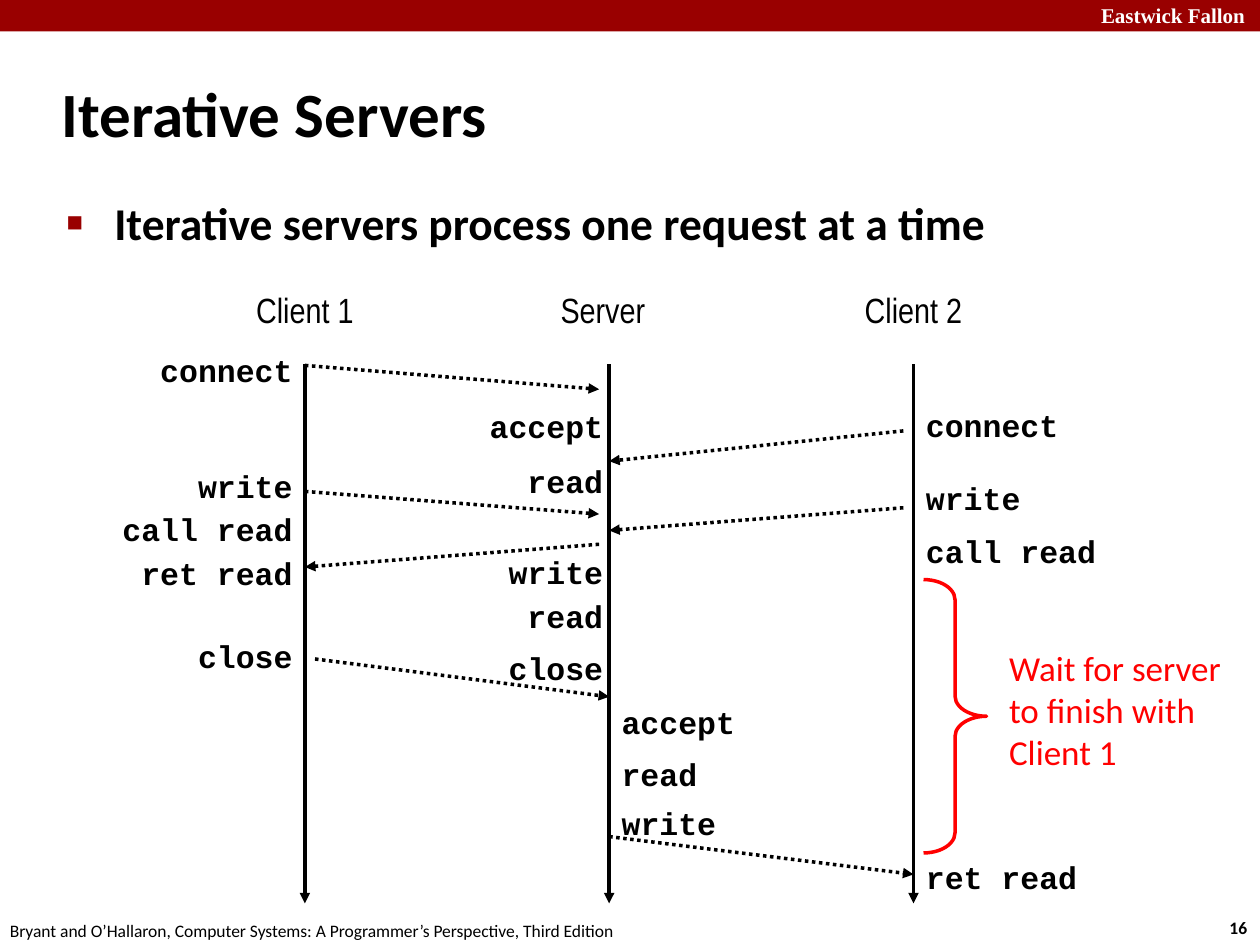
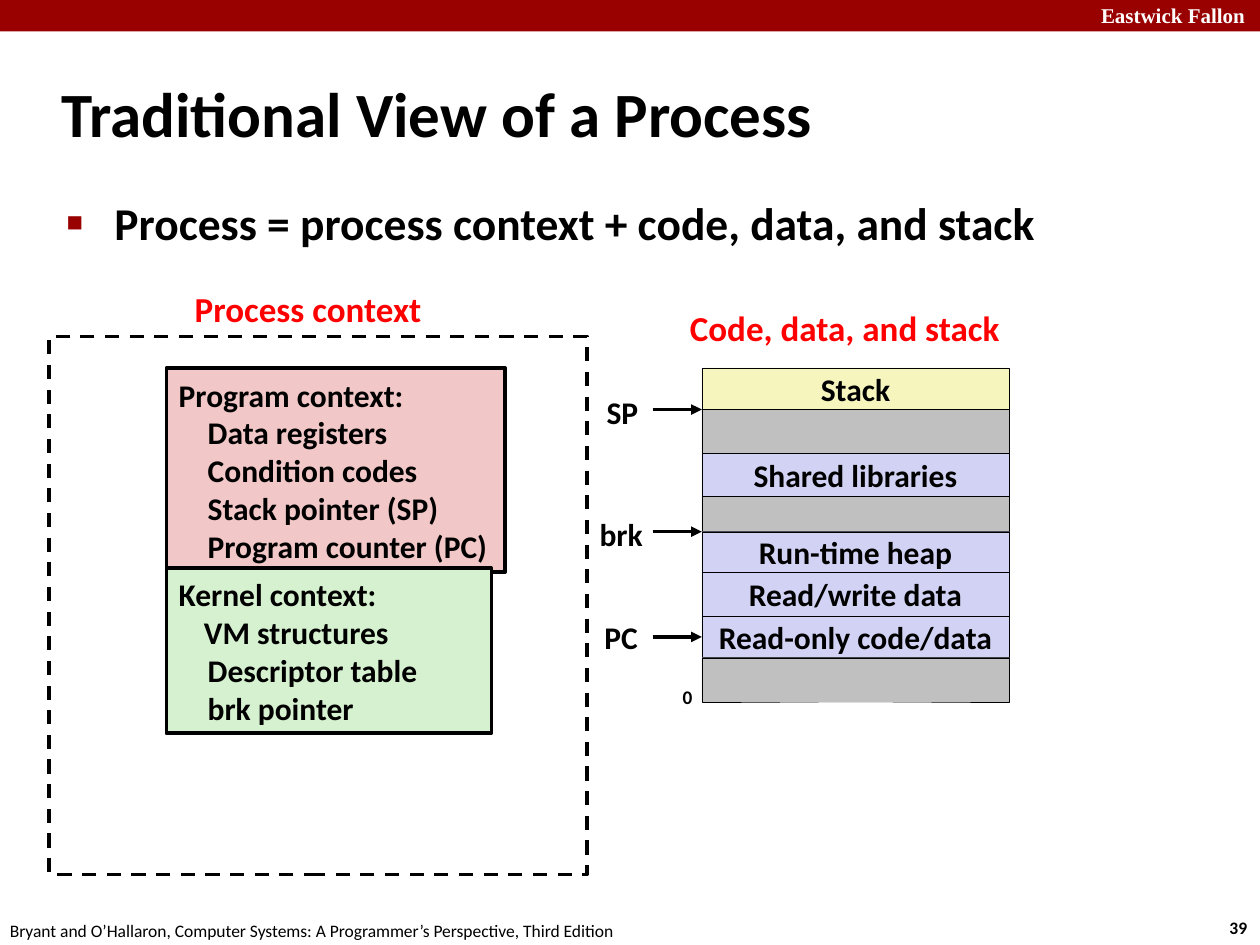
from dataclasses import dataclass
from itertools import accumulate

from lxml import etree
from pptx import Presentation
from pptx import util as u
from pptx.dml.color import RGBColor
from pptx.enum import dml, shapes, text
from pptx.oxml import ns

BLACK = RGBColor(0x00, 0x00, 0x00)
WHITE = RGBColor(0xFF, 0xFF, 0xFF)
CRIMSON = RGBColor(0x99, 0x00, 0x00)
RED = RGBColor(0xFF, 0x00, 0x00)
PINK = RGBColor(0xF1, 0xC7, 0xC7)
GREEN = RGBColor(0xD5, 0xF1, 0xCF)
YELLOW = RGBColor(0xF6, 0xF5, 0xBD)
LILAC = RGBColor(0xD2, 0xD2, 0xF4)
GRAY = RGBColor(0xC0, 0xC0, 0xC0)

LEFT, CENTER, RIGHT = text.PP_ALIGN.LEFT, text.PP_ALIGN.CENTER, text.PP_ALIGN.RIGHT
TOP, MIDDLE = text.MSO_ANCHOR.TOP, text.MSO_ANCHOR.MIDDLE
TITLE_ONLY = 5
SCHOOL = "Eastwick Fallon"
CITATION = "Bryant and O’Hallaron, Computer Systems: A Programmer’s Perspective, Third Edition"


@dataclass
class Box:
    """A rectangle in inches."""

    left: float
    top: float
    width: float
    height: float

    @property
    def right(self):
        """Return the right edge."""
        return self.left + self.width

    def inches(self):
        """Return the four lengths for python-pptx."""
        return [u.Inches(v) for v in (self.left, self.top, self.width, self.height)]


def write(shape, words, size, font="Calibri", color=BLACK, bold=False,
          align=LEFT, anchor=TOP, wrap=False):
    """Put words into a shape and format every run."""
    frame = shape.text_frame
    frame.text = words
    frame.word_wrap = wrap
    frame.vertical_anchor = anchor
    for paragraph in frame.paragraphs:
        paragraph.alignment = align
        for run in paragraph.runs:
            run.font.name = font
            run.font.size = u.Pt(size)
            run.font.bold = bold
            run.font.color.rgb = color
    return frame


def add_label(slide, box, words, size, **style):
    """Add a text box with formatted words."""
    return write(slide.shapes.add_textbox(*box.inches()), words, size, **style)


def indent(paragraph, margin, first=0.0):
    """Set the left margin and first-line indent of a paragraph."""
    properties = paragraph._p.get_or_add_pPr()
    properties.set("marL", str(u.Inches(margin)))
    properties.set("indent", str(u.Inches(first)))
    return properties


def add_block(slide, box, fill=None, line=BLACK, weight=2.0,
              kind=shapes.MSO_SHAPE.RECTANGLE):
    """Add a flat preset shape."""
    block = slide.shapes.add_shape(kind, *box.inches())
    block.shadow.inherit = False
    if fill is None:
        block.fill.background()
    else:
        block.fill.solid()
        block.fill.fore_color.rgb = fill
    if line is None:
        block.line.fill.background()
    else:
        block.line.color.rgb = line
        block.line.width = u.Pt(weight)
    return block


def add_arrow(slide, x1, y1, x2, y2, dash=None):
    """Add a black straight arrow between two points."""
    arrow = slide.shapes.add_connector(
        shapes.MSO_CONNECTOR.STRAIGHT, *[u.Inches(v) for v in (x1, y1, x2, y2)])
    arrow.line.color.rgb = BLACK
    arrow.line.width = u.Pt(2)
    if dash:
        arrow.line.dash_style = dash
    etree.SubElement(arrow.line._get_or_add_ln(), ns.qn("a:tailEnd"), type="triangle")
    etree.SubElement(arrow._element.spPr, ns.qn("a:effectLst"))
    return arrow


def add_page(deck, heading, statement, number):
    """Add a slide with its band, footer, title and bulleted statement."""
    slide = deck.slides.add_slide(deck.slide_layouts[TITLE_ONLY])
    add_block(slide, Box(0, 0, 10, 0.25), CRIMSON, None)
    add_label(slide, Box(8.64, -0.03, 1.43, 0.3), SCHOOL, 12,
              font="Times New Roman", color=WHITE, bold=True, wrap=True)
    add_label(slide, Box(9.66, 7.23, 0.37, 0.27), str(number), 10, bold=True)
    add_label(slide, Box(-0.02, 7.25, 5.08, 0.27), CITATION, 10)

    title = slide.shapes.title
    title.left, title.top, title.width, title.height = Box(0.39, 0.48, 8.3, 0.83).inches()
    frame = write(title, heading, 36, bold=True, anchor=MIDDLE, wrap=True)
    frame.auto_size = text.MSO_AUTO_SIZE.NONE
    indent(frame.paragraphs[0], 0.13, -0.13)

    body = add_label(slide, Box(0.43, 1.5, 8.64, 0.6), statement, 26, bold=True, wrap=True)
    properties = indent(body.paragraphs[0], 0.38, -0.38)
    bullet_color = etree.SubElement(properties, ns.qn("a:buClr"))
    etree.SubElement(bullet_color, ns.qn("a:srgbClr"), val=str(CRIMSON))
    etree.SubElement(properties, ns.qn("a:buSzPct"), val="60000")
    etree.SubElement(properties, ns.qn("a:buFont"), typeface="Arial")
    etree.SubElement(properties, ns.qn("a:buChar"), char="■")
    return slide


def add_calls(slide, edge, top, align, calls):
    """Write the calls of one actor against a vertical edge."""
    for call, drop in calls:
        width = 0.2 + 0.15 * len(call)
        left = edge - width if align == RIGHT else edge
        add_label(slide, Box(left, top + drop, width, 0.4), call, 18,
                  font="Courier New", bold=True, align=align)


def add_sequence(slide, box):
    """Draw the lifelines, calls and messages of two clients and a server."""
    client1, server, client2 = [box.left + i * box.width / 2 for i in range(3)]
    bottom = box.top + box.height
    for actor, center, lifeline in (("Client 1", client1, client1),
                                    ("Server", server - 0.05, server),
                                    ("Client 2", client2, client2)):
        add_label(slide, Box(center - 0.5, box.top, 1, 0.44), actor, 20,
                  font="Arial Narrow", align=CENTER)
        add_arrow(slide, lifeline, box.top + 0.65, lifeline, bottom)

    add_calls(slide, client1, box.top, RIGHT, [
        ("connect", 0.5), ("write", 1.42), ("call read", 1.76),
        ("ret read", 2.11), ("close", 2.77)])
    add_calls(slide, server + 0.05, box.top, RIGHT, [
        ("accept", 0.94), ("read", 1.38), ("write", 2.1), ("read", 2.45), ("close", 2.86)])
    add_calls(slide, server, box.top, LEFT, [
        ("accept", 3.29), ("read", 3.7), ("write", 4.09)])
    add_calls(slide, client2, box.top, LEFT, [
        ("connect", 0.93), ("write", 1.51), ("call read", 1.93), ("ret read", 4.52)])

    gap = 0.08
    messages = [
        (client1, 0.66, server - gap, 0.85),
        (client2 - gap, 1.18, server, 1.42),
        (client1, 1.66, server - gap, 1.84),
        (client2 - gap, 1.79, server, 1.97),
        (server - gap, 2.08, client1, 2.26),
        (client1 + gap, 2.99, server, 3.29),
        (server, 4.4, client2, 4.7),
    ]
    for start, sent, end, received in messages:
        add_arrow(slide, start, box.top + sent, end, box.top + received,
                  dml.MSO_LINE.ROUND_DOT)

    wait = add_block(slide, Box(client2 + gap, box.top + 2.36, 0.5, 2.17), line=RED,
                     kind=shapes.MSO_SHAPE.RIGHT_BRACE)
    wait.adjustments[0] = 0.32
    add_label(slide, Box(client2 + 0.66, box.top + 2.84, 2.09, 1.11),
              "Wait for server to finish with Client 1", 20, color=RED, wrap=True)


def add_context(slide, box, fill, lines, margins):
    """Draw a context panel with a heading and indented lines."""
    frame = write(add_block(slide, box, fill), "\n".join(lines), 18, bold=True, anchor=MIDDLE)
    for paragraph, margin in zip(frame.paragraphs, margins):
        indent(paragraph, margin)


def add_process_context(slide, box):
    """Draw the dashed process context and its two panels."""
    add_label(slide, Box(box.left + 1.04, box.top - 0.44, 2.03, 0.44), "Process context", 20,
              color=RED, bold=True, align=CENTER, anchor=MIDDLE)
    left = box.left + 0.93
    add_context(slide, Box(left, box.top + 0.25, 2.69, 1.62), PINK,
                ["Program context:", "Data registers", "Condition codes",
                 "Stack pointer (SP)", "Program counter (PC)"], [0] + [0.23] * 4)
    add_context(slide, Box(left, box.top + 1.84, 2.58, 1.31), GREEN,
                ["Kernel context:", "VM structures", "Descriptor table", "brk pointer"],
                [0, 0.2, 0.23, 0.23])
    add_block(slide, box).line.dash_style = dml.MSO_LINE.DASH


def add_memory(slide, box):
    """Draw the memory regions and the pointers into them."""
    add_label(slide, Box(box.left - 0.21, box.top - 0.54, 2.69, 0.44), "Code, data, and stack",
              20, color=RED, bold=True, align=CENTER, anchor=MIDDLE)
    regions = [
        ("Stack", 0.33, YELLOW),
        ("", 0.35, GRAY),
        ("Shared libraries", 0.34, LILAC),
        ("", 0.28, GRAY),
        ("Run-time heap", 0.32, LILAC),
        ("Read/write data", 0.35, LILAC),
        ("Read-only code/data", 0.33, LILAC),
        ("", 0.35, GRAY),
    ]
    tops = list(accumulate((height for _, height, _ in regions), initial=box.top))
    blocks = {}
    for (region, height, fill), top in zip(regions, tops):
        block = add_block(slide, Box(box.left, top, box.width, height), fill, weight=0.25)
        if region:
            write(block, region, 18, bold=True, align=CENTER, anchor=MIDDLE)
            blocks[region] = block

    pointers = {}
    for pointer, level, center, drop in (("SP", tops[1], 4.94, 0.02),
                                         ("brk", tops[4], 4.93, 0.02),
                                         ("PC", (tops[6] + tops[7]) / 2, 4.93, 0)):
        add_label(slide, Box(center - 0.28, level - 0.2 + drop, 0.56, 0.4), pointer, 18,
                  bold=True, align=CENTER, anchor=MIDDLE)
        pointers[pointer] = add_arrow(slide, box.left - 0.39, level, box.left, level)
    pointers["PC"].end_connect(blocks["Read-only code/data"], 1)
    add_label(slide, Box(box.left - 0.25, tops[-1] - 0.18, 0.28, 0.29), "0", 11, bold=True)


def main():
    """Build both slides and save the deck."""
    deck = Presentation()
    deck.slide_width, deck.slide_height = u.Inches(10), u.Inches(7.5)
    servers = add_page(deck, "Iterative Servers",
                       "Iterative servers process one request at a time", 16)
    add_sequence(servers, Box(2.42, 2.24, 4.83, 4.93))
    process = add_page(deck, "Traditional View of a Process",
                       "Process = process context + code, data, and stack", 39)
    add_process_context(process, Box(0.39, 2.67, 4.27, 4.27))
    add_memory(process, Box(5.57, 2.92, 2.44, 2.65))
    deck.save("out.pptx")


if __name__ == "__main__":
    main()
